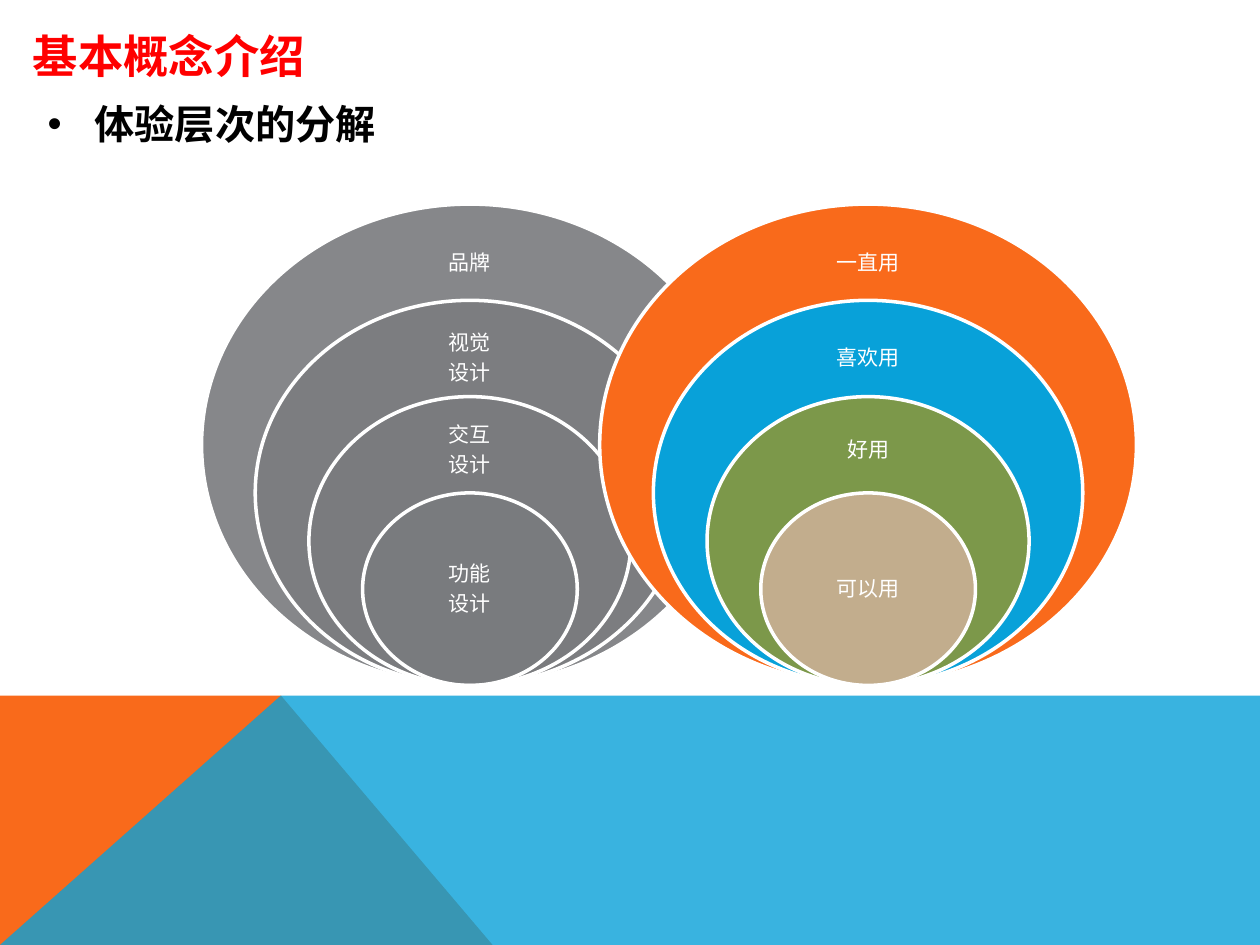
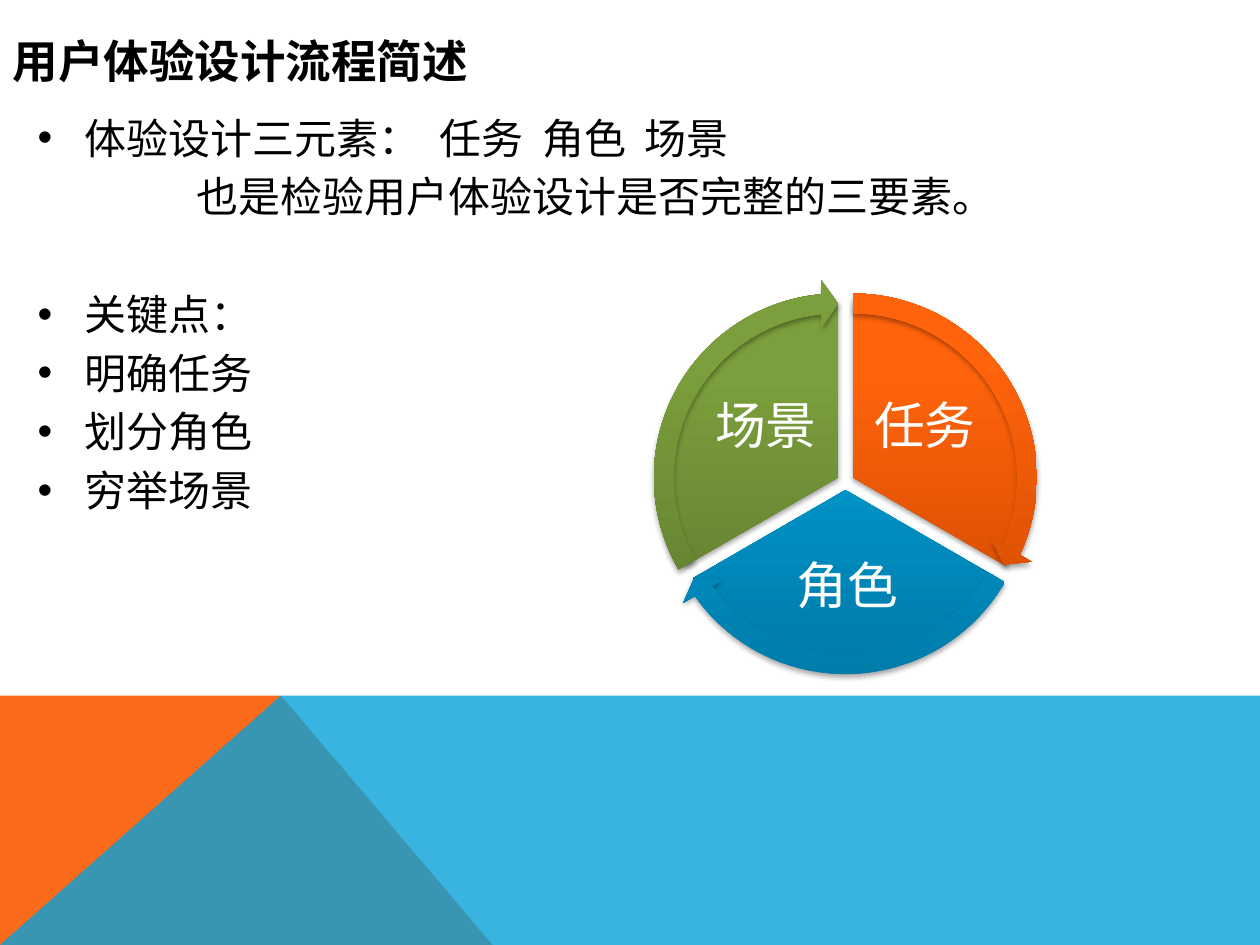
from typing import NamedTuple

from lxml.etree import SubElement
from pptx import Presentation
from pptx.dml.color import RGBColor
from pptx.enum.shapes import MSO_SHAPE as Preset
from pptx.enum.text import MSO_ANCHOR as Anchor, MSO_AUTO_SIZE as AutoSize, PP_ALIGN as Align
from pptx.oxml.ns import qn
from pptx.util import Inches, Pt

FONT = "Noto Sans CJK SC"
ORANGE = RGBColor(0xF9, 0x6A, 0x1B)
BLUE = RGBColor(0x08, 0xA1, 0xD9)
GREEN = RGBColor(0x7C, 0x98, 0x4A)
TAN = RGBColor(0xC2, 0xAD, 0x8D)
GREY = RGBColor(0x79, 0x7B, 0x7E)
RED = RGBColor(0xFF, 0x00, 0x00)
BLACK = RGBColor(0x00, 0x00, 0x00)
WHITE = RGBColor(0xFF, 0xFF, 0xFF)
ORANGE_SHADE = (RGBColor(0xCE, 0x49, 0x00), RGBColor(0xFF, 0x63, 0x0C))
BLUE_SHADE = (RGBColor(0x00, 0x7B, 0xA8), RGBColor(0x00, 0xA0, 0xDA))
GREEN_SHADE = (RGBColor(0x5F, 0x7A, 0x2E), RGBColor(0x7B, 0x9F, 0x3C))

LABEL_SPACING = 0.9
BULLET_INDENT = 0.37
RING_SIZE = (4.26, 3.82)
RING_BOTTOM = 5.44
LABEL_WIDTH = 1.2
PIE_SIZE = 2.79
ARROW_SIZE = 3.14


class Band(NamedTuple):
    points: tuple
    color: RGBColor
    opacity: int


class Level(NamedTuple):
    scale: float
    label_top: float
    label_height: float


class Ring(NamedTuple):
    label: str
    color: RGBColor
    opacity: int = 100


class Point(NamedTuple):
    text: str
    bullet: bool = True
    indent: float = BULLET_INDENT
    before: float = 4.8
    tabs: tuple = ()


class Sector(NamedTuple):
    label: str
    shade: tuple
    center: tuple
    pie_angles: tuple
    arrow_angles: tuple
    label_box: tuple


BANDS = (
    Band(((0, 7.5), (0, 5.52), (2.23, 5.52), (3.91, 7.5)), ORANGE, 100),
    Band(((0, 7.5), (2.23, 5.52), (10, 5.52), (10, 7.5)), BLUE, 80),
)
LEVELS = (
    Level(1, 1.81, 0.57),
    Level(0.8, 2.57, 0.55),
    Level(0.6, 3.32, 0.52),
    Level(0.4, 4.3, 0.76),
)
DESIGN_RINGS = (
    Ring("品牌", GREY, 90),
    Ring("视觉\n设计", GREY, 77),
    Ring("交互\n设计", GREY, 63),
    Ring("功能\n设计", GREY, 50),
)
USE_RINGS = (
    Ring("一直用", ORANGE),
    Ring("喜欢用", BLUE),
    Ring("好用", GREEN),
    Ring("可以用", TAN),
)
KEY_POINTS = (
    Point("体验设计三元素：\t任务\t角色\t场景", before=0, tabs=(3.19, 4.01, 4.82)),
    Point("也是检验用户体验设计是否完整的三要素。", bullet=False, indent=1.26),
    Point("关键点：", before=38.4),
    Point("明确任务"),
    Point("划分角色"),
    Point("穷举场景"),
)
SECTORS = (
    Sector("任务", ORANGE_SHADE, (6.77, 3.79), (162, 18), (14.73, 161.99), (6.84, 2.98, 1, 0.83)),
    Sector("角色", BLUE_SHADE, (6.71, 3.89), (18, 90), (86.72, 18), (5.98, 4.3, 1.49, 0.73)),
    Sector("场景", GREEN_SHADE, (6.65, 3.79), (90, 162), (158.73, 90), (5.58, 2.98, 1, 0.83)),
)


def format_paragraph(paragraph, size: float, color: RGBColor, bold: bool = False) -> None:
    font = paragraph.font
    font.size = Pt(size)
    font.bold = bold
    font.color.rgb = color
    font.name = FONT
    SubElement(font._element, qn("a:ea"), typeface=FONT)


def fill_solid(shape, color: RGBColor, opacity: int = 100) -> None:
    shape.shadow.inherit = False
    shape.fill.solid()
    shape.fill.fore_color.rgb = color
    if opacity < 100:
        srgb = shape.element.spPr.find(".//" + qn("a:srgbClr"))
        SubElement(srgb, qn("a:alpha"), val=str(opacity * 1000))


def add_bands(slide) -> None:
    for band in BANDS:
        start, *others = [(Inches(x), Inches(y)) for x, y in band.points]
        builder = slide.shapes.build_freeform(*start)
        builder.add_line_segments(others, close=True)
        shape = builder.convert_to_shape()
        fill_solid(shape, band.color, band.opacity)
        shape.line.fill.background()


def add_slide(prs, title: str, box: tuple, size: float, color: RGBColor):
    slide = prs.slides.add_slide(prs.slide_layouts[5])
    add_bands(slide)
    heading = slide.shapes.title
    heading.left, heading.top, heading.width, heading.height = map(Inches, box)
    frame = heading.text_frame
    frame.text = title
    frame.auto_size = AutoSize.NONE
    frame.vertical_anchor = Anchor.TOP
    frame.paragraphs[0].alignment = Align.LEFT
    format_paragraph(frame.paragraphs[0], size, color, bold=True)
    return slide


def add_points(slide, box: tuple, points: tuple, size: float, bold: bool = False) -> None:
    frame = slide.shapes.add_textbox(*map(Inches, box)).text_frame
    frame.word_wrap = True
    frame.text = "\n".join(point.text for point in points)
    for paragraph, point in zip(frame.paragraphs, points):
        if point.before:
            paragraph.space_before = Pt(point.before)
        props = paragraph._p.get_or_add_pPr()
        props.set("marL", str(Inches(point.indent)))
        if point.bullet:
            props.set("indent", str(-Inches(point.indent)))
            SubElement(props, qn("a:buFont"), typeface="Arial")
            SubElement(props, qn("a:buChar"), char="•")
        if point.tabs:
            stops = SubElement(props, qn("a:tabLst"))
            for stop in point.tabs:
                SubElement(stops, qn("a:tab"), pos=str(Inches(stop)), algn="l")
        format_paragraph(paragraph, size, BLACK, bold)


def add_label(slide, text: str, box: tuple, size: float, inset: float) -> None:
    frame = slide.shapes.add_textbox(*map(Inches, box)).text_frame
    frame.word_wrap = True
    frame.vertical_anchor = Anchor.MIDDLE
    frame.margin_left = frame.margin_right = Inches(inset)
    frame.margin_top = frame.margin_bottom = Inches(inset)
    frame.text = text
    for number, paragraph in enumerate(frame.paragraphs):
        paragraph.alignment = Align.CENTER
        paragraph.line_spacing = LABEL_SPACING
        if number:
            paragraph.space_before = Pt(size * 0.35)
        format_paragraph(paragraph, size, WHITE)


def add_rings(slide, center: float, rings: tuple) -> None:
    for level, ring in zip(LEVELS, rings):
        width, height = (side * level.scale for side in RING_SIZE)
        box = (center - width / 2, RING_BOTTOM - height, width, height)
        oval = slide.shapes.add_shape(Preset.OVAL, *map(Inches, box))
        fill_solid(oval, ring.color, ring.opacity)
        oval.line.color.rgb = WHITE
        oval.line.width = Pt(2)
        label_box = (center - LABEL_WIDTH / 2, level.label_top, LABEL_WIDTH, level.label_height)
        add_label(slide, ring.label, label_box, 12, 0.09)


def add_sector_part(slide, preset: Preset, sector: Sector, size: float, adjustments: tuple) -> None:
    x, y = sector.center
    box = (x - size / 2, y - size / 2, size, size)
    part = slide.shapes.add_shape(preset, *map(Inches, box))
    for number, value in enumerate(adjustments):
        part.adjustments[number] = value
    part.fill.gradient()
    part.fill.gradient_angle = 90
    for stop, color, position in zip(part.fill.gradient_stops, sector.shade, (0, 0.8)):
        stop.color.rgb = color
        stop.position = position
    part.line.fill.background()
    part.shadow.inherit = False
    effects = part.element.spPr.find(qn("a:effectLst"))
    shadow = SubElement(effects, qn("a:outerShdw"), blurRad=str(Pt(3.1)), dist=str(Pt(1.8)),
                        dir="5400000", rotWithShape="0")
    black = SubElement(shadow, qn("a:srgbClr"), val=str(BLACK))
    SubElement(black, qn("a:alpha"), val="35000")


def add_cycle(slide) -> None:
    for sector in SECTORS:
        add_sector_part(slide, Preset.PIE, sector, PIE_SIZE, sector.pie_angles)
        add_label(slide, sector.label, sector.label_box, 29, 0.04)
    for sector in SECTORS:
        adjustments = (0.05, 3.28, *sector.arrow_angles, 0.06)
        add_sector_part(slide, Preset.CIRCULAR_ARROW, sector, ARROW_SIZE, adjustments)


def main() -> None:
    prs = Presentation()
    prs.slide_width, prs.slide_height = Inches(10), Inches(7.5)

    concepts = add_slide(prs, "基本概念介绍", (0.16, 0.17, 2.56, 0.47), 25.9, RED)
    add_points(concepts, (0.28, 0.74, 3, 0.49), (Point("体验层次的分解", before=0),), 23, bold=True)
    add_rings(concepts, 3.73, DESIGN_RINGS)
    add_rings(concepts, 6.89, USE_RINGS)

    process = add_slide(prs, "用户体验设计流程简述", (0, 0.21, 3.94, 0.47), 26, BLACK)
    add_points(process, (0.2, 0.84, 9.53, 4.33), KEY_POINTS, 24)
    add_cycle(process)

    prs.save("out.pptx")


if __name__ == "__main__":
    main()
